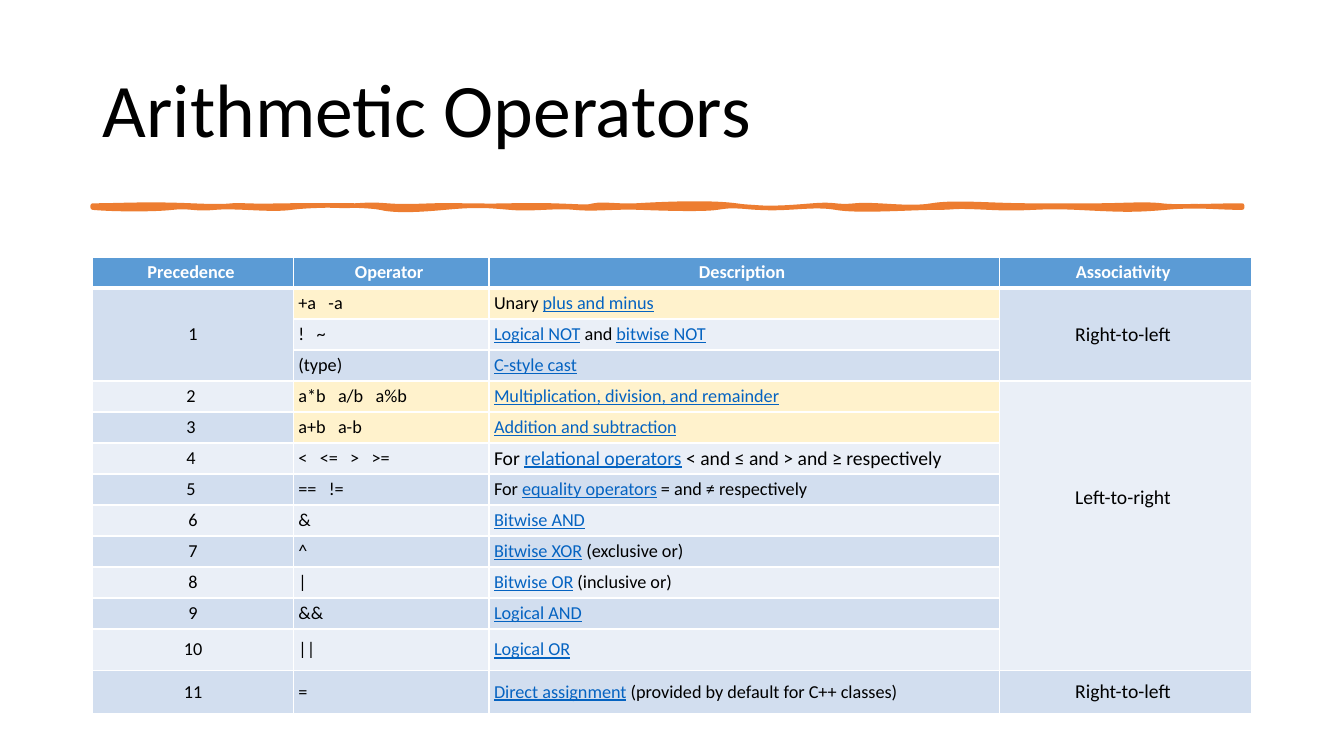
from lxml import etree
from pptx import Presentation
from pptx.dml.color import RGBColor
from pptx.enum.text import MSO_ANCHOR, MSO_AUTO_SIZE, PP_ALIGN
from pptx.oxml.ns import qn
from pptx.util import Inches, Pt

LEFT, CENTER = PP_ALIGN.LEFT, PP_ALIGN.CENTER
MIDDLE = MSO_ANCHOR.MIDDLE
NO_AUTOFIT = MSO_AUTO_SIZE.NONE

BLACK, WHITE, ORANGE = "000000", "FFFFFF", "ED7D31"
HEADER, HIGHLIGHT, LINK = "5B9BD5", "FFF2CC", "0563C1"
BANDS = ("EAEFF7", "D2DEEF")
GAP = "\u00a0\u00a0 "
TIGHT, MEDIUM, WIDE, WIDEST = 0.05, 0.13, 0.19, 0.21

HEADINGS = ["Precedence ", "Operator ", "Description ", "Associativity "]
COLUMN_WIDTHS = [1.99, 1.94, 5.06, 2.5]
OPERATORS = [
    ("1", ["+a", "-a "], "Unary _plus and minus_ "),
    ("", ["!", "~ "], "_Logical NOT_ and _bitwise NOT_ "),
    ("", ["(type) "], "_C-style cast_ "),
    ("2 ", ["a*b", "a/b", "a%b "], "_Multiplication, division, and remainder_ "),
    ("3 ", ["a+b", "a-b "], "_Addition and subtraction_ "),
    ("4 ", ["<", "<=", ">", ">="],
     "For _relational operators_ < and ≤ and > and ≥ respectively"),
    ("5 ", ["==", "!= "], "For _equality operators_ = and ≠ respectively "),
    ("6", ["& "], "_Bitwise AND_ "),
    ("7", ["^ "], "_Bitwise XOR_ (exclusive or) "),
    ("8", ["| "], "_Bitwise OR_ (inclusive or) "),
    ("9", ["&& "], "_Logical AND_ "),
    ("10", ["|| "], "_Logical OR_ "),
    ("11", ["= "], "_Direct assignment_ (provided by default for C++ classes) "),
]
ARITHMETIC_ROWS = (1, 4, 5)
RELATIONAL_ROW = 6
PRECEDENCE_INSETS = {"1": WIDEST, "10": WIDE, "11": WIDE}
ASSOCIATIVITY = [
    (1, 3, "Right-to-left ", WIDEST, None),
    (4, 12, "Left-to-right ", MEDIUM, 0.62),
    (13, 13, "Right-to-left ", WIDE, None),
]

STROKE_LEFT, STROKE_TOP, STROKE_BOTTOM = 0.92, 2.04, 2.06
TOP_WAVES = [
    (1.19, 2.04, 1.44, 2.02, 1.9), (2.37, 2.06, 2.2, 2.03, 2.44),
    (2.67, 2.05, 3.03, 2.03, 3.31), (3.6, 2.05, 3.59, 2.02, 3.84),
    (4.1, 2.06, 4.23, 2.03, 4.6), (4.98, 2.05, 5.14, 2.03, 5.48),
    (5.81, 2.05, 5.81, 2.06, 5.89), (5.98, 2.02, 6.15, 2.05, 6.31),
    (6.47, 2.03, 7.01, 2.0, 7.3), (7.59, 2.08, 7.81, 2.06, 8.06),
    (8.31, 2.02, 8.27, 2.06, 8.48), (8.68, 2.02, 9.01, 2.08, 9.24),
    (9.47, 2.0, 9.82, 2.04, 10.23), (10.63, 2.04, 10.63, 2.04, 10.87),
    (11.12, 2.04, 11.36, 2.02, 11.52), (11.68, 2.06, 12.03, 2.04, 12.32),
]
BOTTOM_WAVES = [
    (12.32, 2.05, 12.32, 2.05, 12.32),
    (12.05, 2.06, 11.89, 2.03, 11.56), (11.22, 2.09, 11.1, 2.08, 10.68),
    (10.27, 2.04, 10.23, 2.08, 9.81), (9.39, 2.04, 9.52, 2.06, 9.28),
    (9.04, 2.06, 8.51, 2.1, 8.29), (8.06, 2.02, 7.82, 2.08, 7.53),
    (7.24, 2.04, 7.25, 2.04, 7.11), (6.98, 2.08, 6.61, 2.07, 6.35),
    (6.09, 2.05, 5.9, 2.08, 5.7), (5.51, 2.04, 5.28, 2.08, 5.06),
    (4.83, 2.04, 4.73, 2.03, 4.41), (4.09, 2.09, 3.9, 2.09, 3.77),
    (3.63, 2.03, 3.1, 2.03, 2.89), (2.68, 2.09, 2.35, 2.04, 2.13),
    (1.92, 2.08, 1.89, 2.04, 1.71), (1.54, 2.08, 1.14, 2.08, 0.92),
]


def rgb(value):
    return RGBColor.from_string(value)


def write(frame, text, size=13, color=BLACK, bold=False, align=LEFT, spacing=None):
    paragraph = frame.paragraphs[0]
    paragraph.alignment = align
    if spacing:
        paragraph.line_spacing = spacing
    for index, part in enumerate(text.split("_")):
        if part:
            linked = index % 2 == 1
            run = paragraph.add_run()
            run.text = part
            run.font.name, run.font.size, run.font.bold = "Calibri", Pt(size), bold
            run.font.underline = linked
            run.font.color.rgb = rgb(LINK if linked else color)


def control_points(waves, baseline):
    return [point for x1, y1, x2, y2, end in waves
            for point in ((x1, y1), (x2, y2), (end, baseline))]


class OperatorSlide:
    """Holds the slide and draws its elements in one style."""

    def __init__(self, deck):
        self.slide = deck.slides.add_slide(deck.slide_layouts[5])

    def title(self, text, left, top, width, height):
        heading = self.slide.shapes.title
        heading.left, heading.top = Inches(left), Inches(top)
        heading.width, heading.height = Inches(width), Inches(height)
        frame = heading.text_frame
        frame.word_wrap, frame.auto_size = True, NO_AUTOFIT
        frame.vertical_anchor = MIDDLE
        write(frame, text, size=54, spacing=0.9)

    def brush_stroke(self, start, controls, color, weight):
        builder = self.slide.shapes.build_freeform(*map(Inches, start))
        builder.add_line_segments([(Inches(x), Inches(y)) for x, y in controls])
        stroke = builder.convert_to_shape()
        segments = list(stroke._element.iter(qn("a:lnTo")))
        for first in range(0, len(segments), 3):
            curve = etree.Element(qn("a:cubicBezTo"))
            segments[first].addprevious(curve)
            for segment in segments[first:first + 3]:
                curve.append(segment[0])
                segment.getparent().remove(segment)
        stroke.shadow.inherit = False
        stroke.fill.solid()
        stroke.fill.fore_color.rgb = rgb(color)
        stroke.line.color.rgb = rgb(color)
        stroke.line.width = Pt(weight)
        etree.SubElement(stroke.line.fill._xPr, qn("a:round"))

    def table(self, left, top, widths, row_count, row_height, last_height):
        height = row_height * (row_count - 1) + last_height
        grid = self.slide.shapes.add_table(
            row_count, len(widths), Inches(left), Inches(top),
            Inches(sum(widths)), Inches(height)).table
        for column, width in zip(grid.columns, widths):
            column.width = Inches(width)
        for row in grid.rows:
            row.height = Inches(row_height)
        grid.rows[row_count - 1].height = Inches(last_height)
        return grid

    def cell(self, cell, text, fill, inset=TIGHT, bottom=None, rule=1, **style):
        cell.margin_left = cell.margin_right = Inches(inset)
        cell.margin_top = Inches(inset / 2)
        cell.margin_bottom = Inches(bottom or inset / 2)
        cell.vertical_anchor = MIDDLE
        properties = cell._tc.get_or_add_tcPr()
        for tag, weight in (("lnL", 1), ("lnR", 1), ("lnT", 1), ("lnB", rule)):
            border = etree.SubElement(properties, qn("a:" + tag), w=str(Pt(weight)))
            paint = etree.SubElement(border, qn("a:solidFill"))
            etree.SubElement(paint, qn("a:srgbClr"), val=WHITE)
        cell.fill.solid()
        cell.fill.fore_color.rgb = rgb(fill)
        write(cell.text_frame, text, **style)


deck = Presentation()
deck.slide_width, deck.slide_height = Inches(13.33), Inches(7.5)
page = OperatorSlide(deck)
page.title("Arithmetic Operators", 0.92, 0.4, 11.5, 1.45)
outline = (control_points(TOP_WAVES, STROKE_TOP)
           + control_points(BOTTOM_WAVES, STROKE_BOTTOM))
page.brush_stroke((STROKE_LEFT, STROKE_TOP), outline, ORANGE, 3.25)

row_total = len(OPERATORS) + 1
precedence_table = page.table(0.92, 2.55, COLUMN_WIDTHS, row_total,
                              4 / (row_total - 1), 0.39)
for column, heading in enumerate(HEADINGS):
    page.cell(precedence_table.cell(0, column), heading, HEADER, rule=3,
              color=WHITE, bold=True, align=CENTER)
for row, (precedence, symbols, description) in enumerate(OPERATORS, 1):
    band = BANDS[row % 2]
    operator_fill = HIGHLIGHT if row in ARITHMETIC_ROWS else band
    page.cell(precedence_table.cell(row, 0), precedence, band,
              inset=PRECEDENCE_INSETS.get(precedence, TIGHT), align=CENTER)
    page.cell(precedence_table.cell(row, 1), GAP.join(symbols), operator_fill)
    page.cell(precedence_table.cell(row, 2), description, operator_fill,
              size=14 if row == RELATIONAL_ROW else 13)
precedence_table.cell(1, 0).merge(precedence_table.cell(3, 0))
for first, last, direction, inset, bottom in ASSOCIATIVITY:
    group = precedence_table.cell(first, 3)
    if last > first:
        group.merge(precedence_table.cell(last, 3))
    page.cell(group, direction, BANDS[first % 2], inset=inset, bottom=bottom,
              size=14, align=CENTER)

deck.save("out.pptx")
